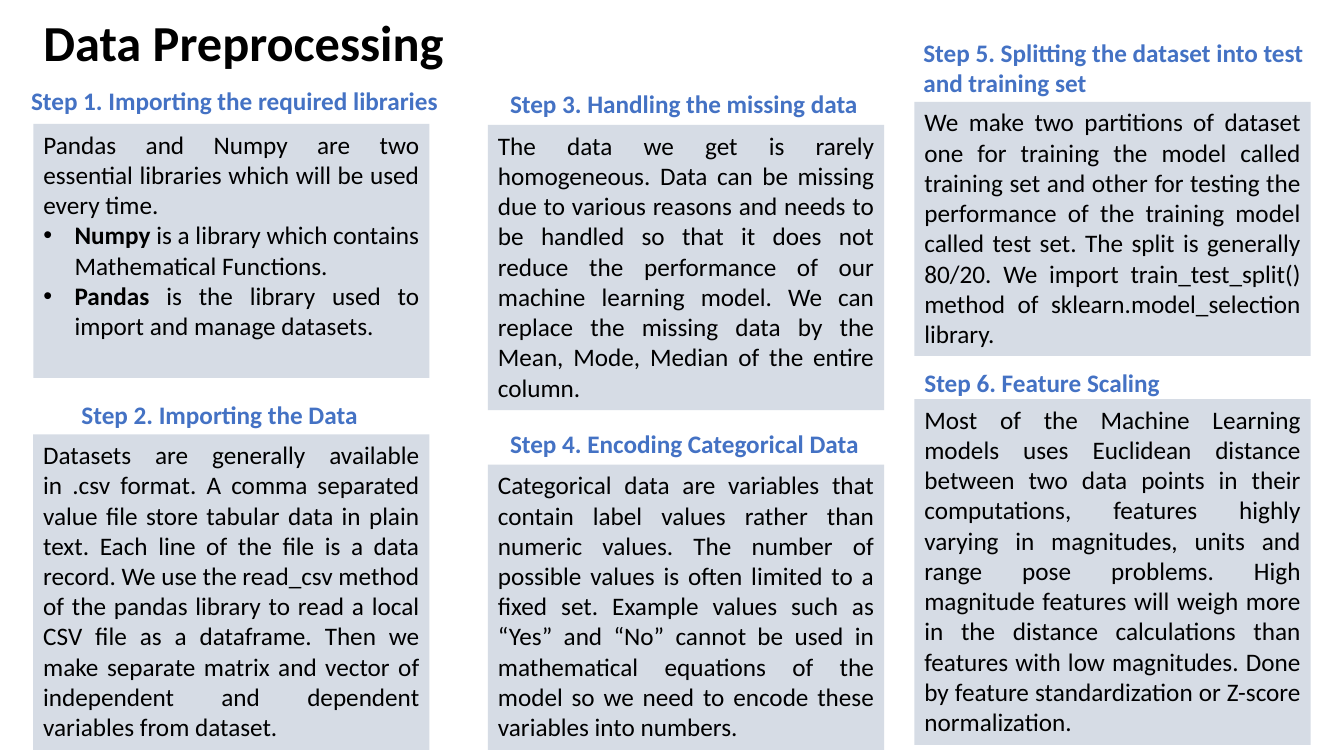
from dataclasses import dataclass

from pptx import Presentation
from pptx import util as u
from pptx.dml import color
from pptx.enum import shapes, text
from pptx.oxml import ns, xmlchemy


@dataclass(frozen=True)
class Theme:
    font: str = "Calibri"
    ink: str = "000000"
    accent: str = "4472C4"
    panel: str = "D6DCE5"
    title_size: int = 36
    body_size: int = 18


THEME = Theme()
LEFT, MIDDLE = text.PP_ALIGN.LEFT, text.MSO_ANCHOR.MIDDLE
PANEL_WIDTH = 3.93
PANEL_LEFT = {"left": 0.33, "centre": 4.84, "right": 9.07}
HEADING_HEIGHT = 0.4


def place(box, left, top, width, height):
    sides = {"left": left, "top": top, "width": width, "height": height}
    for side, length in sides.items():
        setattr(box, side, u.Inches(length))


def write(box, paragraphs, size=THEME.body_size, ink=THEME.ink,
          align=LEFT, anchor=text.MSO_ANCHOR.TOP):
    """Fill a box; each paragraph is a (bold part, plain part) pair."""
    frame = box.text_frame
    frame_format = {"word_wrap": True, "vertical_anchor": anchor,
                    "auto_size": text.MSO_AUTO_SIZE.NONE}
    for name, value in frame_format.items():
        setattr(frame, name, value)
    for number, parts in enumerate(paragraphs):
        para = frame.add_paragraph() if number else frame.paragraphs[0]
        para_format = {"alignment": align, "space_before": u.Pt(0),
                       "space_after": u.Pt(0), "line_spacing": 1.0}
        for name, value in para_format.items():
            setattr(para, name, value)
        for part, bold in zip(parts, (True, False)):
            if part:
                span = para.add_run()
                span.text = part
                span_format = {"name": THEME.font, "size": u.Pt(size), "bold": bold}
                for name, value in span_format.items():
                    setattr(span.font, name, value)
                span.font.color.rgb = color.RGBColor.from_string(ink)


# Column, heading (left, top, width), panel (top, height), heading lines, panel text
STEPS = [
    ("left", (0.21, 0.8, 4.33), (1.23, 2.52),
     ["Step 1. Importing the required libraries"],
     [("", "Pandas and Numpy are two essential libraries which will be used every time."),
      ("Numpy", " is a library which contains Mathematical Functions."),
      ("Pandas", " is the library used to import and manage datasets.")]),
    ("left", (0.71, 3.91, 2.97), (4.31, 3.13),
     ["Step 2. Importing the Data"],
     [("", "Datasets are generally available in .csv format. A comma separated value "
           "file store tabular data in plain text. Each line of the file is a data "
           "record. We use the read_csv method of the pandas library to read a local "
           "CSV file as a dataframe. Then we make separate matrix and vector of "
           "independent and dependent variables from dataset.")]),
    ("centre", (4.96, 0.83, 3.68), (1.24, 2.83),
     ["Step 3. Handling the missing data"],
     [("", "The data we get is rarely homogeneous. Data can be missing due to various "
           "reasons and needs to be handled so that it does not reduce the performance "
           "of our machine learning model. We can replace the missing data by the "
           "Mean, Mode, Median of the entire column.")]),
    ("centre", (4.96, 4.2, 3.69), (4.61, 2.83),
     ["Step 4. Encoding Categorical Data"],
     [("", "Categorical data are variables that contain label values rather than "
           "numeric values. The number of possible values is often limited to a fixed "
           "set. Example values such as “Yes” and “No” cannot be used in mathematical "
           "equations of the model so we need to encode these variables into numbers.")]),
    ("right", (9.06, 0.32, 4.07), (1.01, 2.52),
     ["Step 5. Splitting the dataset into test", "and training set"],
     [("", "We make two partitions of dataset one for training the model called "
           "training set and other for testing the performance of the training model "
           "called test set. The split is generally 80/20. We import "
           "train_test_split() method of sklearn.model_selection library.")]),
    ("right", (9.07, 3.59, 2.56), (3.96, 3.43),
     ["Step 6. Feature Scaling"],
     [("", "Most of the Machine Learning models uses Euclidean distance between two "
           "data points in their computations, features highly varying in magnitudes, "
           "units and range pose problems. High magnitude features will weigh more in "
           "the distance calculations than features with low magnitudes. Done by "
           "feature standardization or Z-score normalization.")]),
]

# Page and title
deck = Presentation()
deck.slide_width, deck.slide_height = u.Inches(13.33), u.Inches(7.5)
page = deck.slides.add_slide(deck.slide_layouts[1])
title, library_list = page.placeholders
place(title, 0.33, 0.06, 4.22, 0.71)
write(title, [("Data Preprocessing", "")], size=THEME.title_size, anchor=MIDDLE)

# Steps: a heading above each panel; the first panel is the list placeholder
for number, (column, heading_at, panel_at, heading, body) in enumerate(STEPS):
    left, top, width = heading_at
    label = page.shapes.add_textbox(0, 0, 0, 0)
    place(label, left, top, width, HEADING_HEIGHT + 0.31 * (len(heading) - 1))
    write(label, [(line, "") for line in heading], ink=THEME.accent)

    if number == 0:
        panel = library_list
    else:
        panel = page.shapes.add_shape(shapes.MSO_SHAPE.RECTANGLE, 0, 0, 0, 0)
        panel.shadow.inherit = False
    panel_top, panel_height = panel_at
    place(panel, PANEL_LEFT[column], panel_top, PANEL_WIDTH, panel_height)
    panel.fill.solid()
    panel.fill.fore_color.rgb = color.RGBColor.from_string(THEME.panel)
    panel.line.fill.background()
    write(panel, body, align=text.PP_ALIGN.JUSTIFY)

# Bullets: plain introduction, then hanging list items
for number, para in enumerate(library_list.text_frame.paragraphs):
    indent = u.Inches(0.31) if number else 0
    properties = para._p.get_or_add_pPr()
    properties.set("marL", str(indent))
    properties.set("indent", str(-indent))
    bullet = xmlchemy.OxmlElement("a:buChar" if number else "a:buNone")
    if number:
        bullet.set("char", "•")
    properties.append(bullet)

deck.save("out.pptx")
